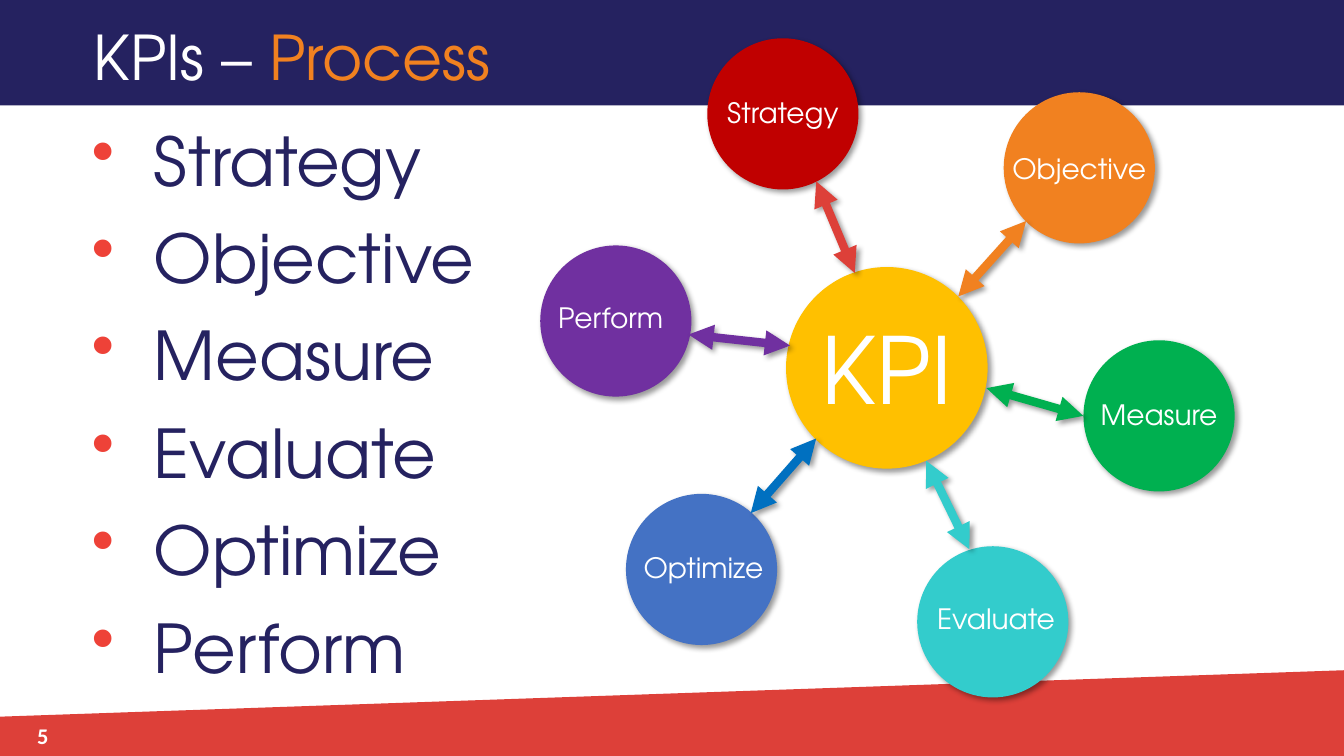
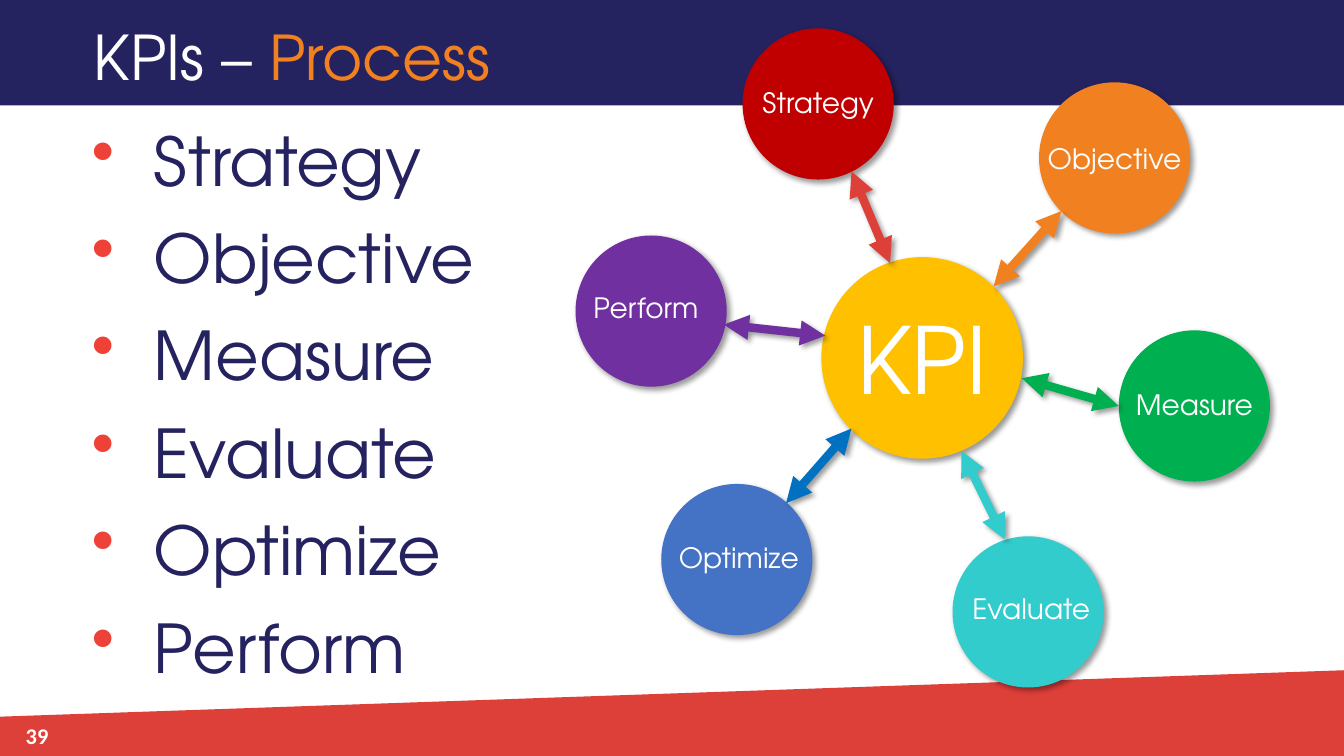
from lxml import etree
from pptx import Presentation
from pptx import util as u
from pptx.dml.color import RGBColor
from pptx.enum import shapes, text
from pptx.oxml.ns import qn

COLOURS = {
    "navy": "252260", "band": "DD4039", "bullet": "EE4238", "white": "FFFFFF",
    "orange": "F18120", "gold": "FFC000", "dark_red": "C00000",
    "green": "00B050", "turquoise": "33CCCC", "blue": "4472C4",
    "arrow_blue": "0070C0", "purple": "7030A0", "black": "000000",
}
HEADING_FONT = "TeX Gyre Adventor"
NUMBER_FONT = "Calibri"
WIDTH, HEIGHT = 33.87, 19.05
HUB_SIZE, STEP_SIZE = 5.08, 3.81

# Lengths in cm, measured from the middle of the hub:
# name, circle colour, arrow colour, circle middle, arrow start, arrow end, label shift
STEPS = [
    ("Strategy", "dark_red", "band", (-2.62, -6.4), (-1.78, -4.7), (-0.81, -2.39), (0, -0.03)),
    ("Objective", "orange", "orange", (4.85, -5.04), (3.51, -3.7), (1.8, -1.8), (0, 0.03)),
    ("Measure", "green", "green", (6.86, 1.21), (4.95, 1.21), (2.51, 0.51), (0, -0.03)),
    ("Evaluate", "turquoise", "turquoise", (2.67, 6.4), (2.08, 4.57), (0.99, 2.34), (0.08, -0.08)),
    ("Optimize", "blue", "arrow_blue", (-4.67, 5.08), (-3.43, 3.66), (-1.78, 1.78), (0.05, -0.05)),
    ("Perform", "purple", "purple", (-6.83, -1.18), (-5, -0.84), (-2.44, -0.56), (-0.13, -0.08)),
]


def colour(name):
    return RGBColor.from_string(COLOURS[name])


def add_element(parent, tag, **attributes):
    return etree.SubElement(parent, qn(tag), attributes)


def add_soft_shadow(effects):
    """Fill an effect list with the shadow that the diagram uses."""
    shadow = add_element(effects, "a:outerShdw", blurRad=str(u.Pt(4)), dist=str(u.Pt(3)),
                         dir="2700000", algn="tl", rotWithShape="0")
    black = add_element(shadow, "a:srgbClr", val=COLOURS["black"])
    add_element(black, "a:alpha", val="40000")


def shifted(point, offset):
    return point[0] + offset[0], point[1] + offset[1]


class Deck:
    def __init__(self):
        self.presentation = Presentation()
        self.presentation.slide_width = u.Cm(WIDTH)
        self.presentation.slide_height = u.Cm(HEIGHT)
        self.slide = None

    def new_slide(self, title, accent, number):
        """Start a slide with its bands, two-coloured title and number."""
        self.slide = self.presentation.slides.add_slide(self.presentation.slide_layouts[6])
        self.footer_band()
        self.paint(self.slide.shapes.add_shape(
            shapes.MSO_SHAPE.RECTANGLE, 0, 0, u.Cm(WIDTH), u.Cm(2.66)), "navy")
        frame = self.text_box(2.11, 0.36, 26.64, 2.13, [title], 44)
        run = frame.paragraphs[0].add_run()
        run.text = accent
        self.style(run, 44, "orange")
        frame = self.text_box(0, 18.03, 1.47, 1.02, [str(number)], 16,
                              align=text.PP_ALIGN.RIGHT, font=NUMBER_FONT, bold=True)
        frame.auto_size = text.MSO_AUTO_SIZE.NONE
        frame.vertical_anchor = text.MSO_ANCHOR.MIDDLE

    def paint(self, shape, fill):
        shape.fill.solid()
        shape.fill.fore_color.rgb = colour(fill)
        shape.line.fill.background()
        shape.shadow.inherit = False
        return shape

    def footer_band(self):
        corners = [(u.Cm(x), u.Cm(y)) for x, y in
                   [(0, 18.06), (WIDTH, 16.89), (WIDTH, HEIGHT), (0, HEIGHT)]]
        builder = self.slide.shapes.build_freeform(*corners[0])
        builder.add_line_segments(corners[1:], close=True)
        self.paint(builder.convert_to_shape(), "band")

    def style(self, run, size, ink, font=HEADING_FONT, bold=False):
        run.font.size = u.Pt(size)
        run.font.name = font
        run.font.bold = bold
        run.font.color.rgb = colour(ink)

    def text_box(self, left, top, width, height, lines, size, ink="white",
                 align=text.PP_ALIGN.LEFT, font=HEADING_FONT, bold=False):
        box = self.slide.shapes.add_textbox(u.Cm(left), u.Cm(top), u.Cm(width), u.Cm(height))
        frame = box.text_frame
        frame.word_wrap = True
        frame.auto_size = text.MSO_AUTO_SIZE.SHAPE_TO_FIT_TEXT
        frame.text = "\n".join(lines)
        for paragraph in frame.paragraphs:
            paragraph.alignment = align
            for run in paragraph.runs:
                self.style(run, size, ink, font, bold)
        return frame

    def bullets(self, lines):
        frame = self.text_box(0.79, 2.87, 18.36, 14.71, lines, 48, "navy")
        for paragraph in frame.paragraphs:
            properties = paragraph._p.get_or_add_pPr()
            properties.set("marL", str(u.Cm(2.84)))
            properties.set("indent", str(u.Cm(-1.57)))
            bullet_colour = add_element(properties, "a:buClr")
            add_element(bullet_colour, "a:srgbClr", val=COLOURS["bullet"])
            add_element(properties, "a:buChar", char="•")
            paragraph.space_after = u.Pt(12)

    def circle(self, middle, size, fill):
        left, top = shifted(middle, (-size / 2, -size / 2))
        shape = self.paint(self.slide.shapes.add_shape(
            shapes.MSO_SHAPE.OVAL, u.Cm(left), u.Cm(top), u.Cm(size), u.Cm(size)), fill)
        add_soft_shadow(shape._element.spPr.find(qn("a:effectLst")))

    def double_arrow(self, start, end, ink):
        connector = self.slide.shapes.add_connector(
            shapes.MSO_CONNECTOR.STRAIGHT, *(u.Cm(value) for value in start + end))
        connector.line.width = u.Pt(6)
        connector.line.color.rgb = colour(ink)
        properties = connector._element.spPr
        for tag in ("a:headEnd", "a:tailEnd"):
            add_element(properties.find(qn("a:ln")), tag, type="triangle")
        add_soft_shadow(add_element(properties, "a:effectLst"))

    def label(self, middle, width, height, words, size):
        left, top = shifted(middle, (-width / 2, -height / 2))
        self.text_box(left, top, width, height, [words], size, align=text.PP_ALIGN.CENTER)

    def process_diagram(self, hub):
        """Draw the hub, the steps around it and the arrows between them."""
        self.circle(hub, HUB_SIZE, "gold")
        for _, fill, _, middle, _, _, _ in STEPS:
            self.circle(shifted(hub, middle), STEP_SIZE, fill)
        for _, _, ink, _, start, end, _ in STEPS:
            self.double_arrow(shifted(hub, start), shifted(hub, end), ink)
        self.label(hub, 3.91, 3.07, "KPI", 66)
        for name, _, _, middle, _, _, shift in STEPS:
            self.label(shifted(shifted(hub, middle), shift), 4.22, 1.12, name, 20)


def main():
    deck = Deck()
    for number, hub in [(5, (22.35, 9.27)), (39, (23.24, 9.02))]:
        deck.new_slide("KPIs – ", "Process", number)
        deck.bullets([step[0] for step in STEPS])
        deck.process_diagram(hub)
    deck.presentation.save("out.pptx")


if __name__ == "__main__":
    main()
